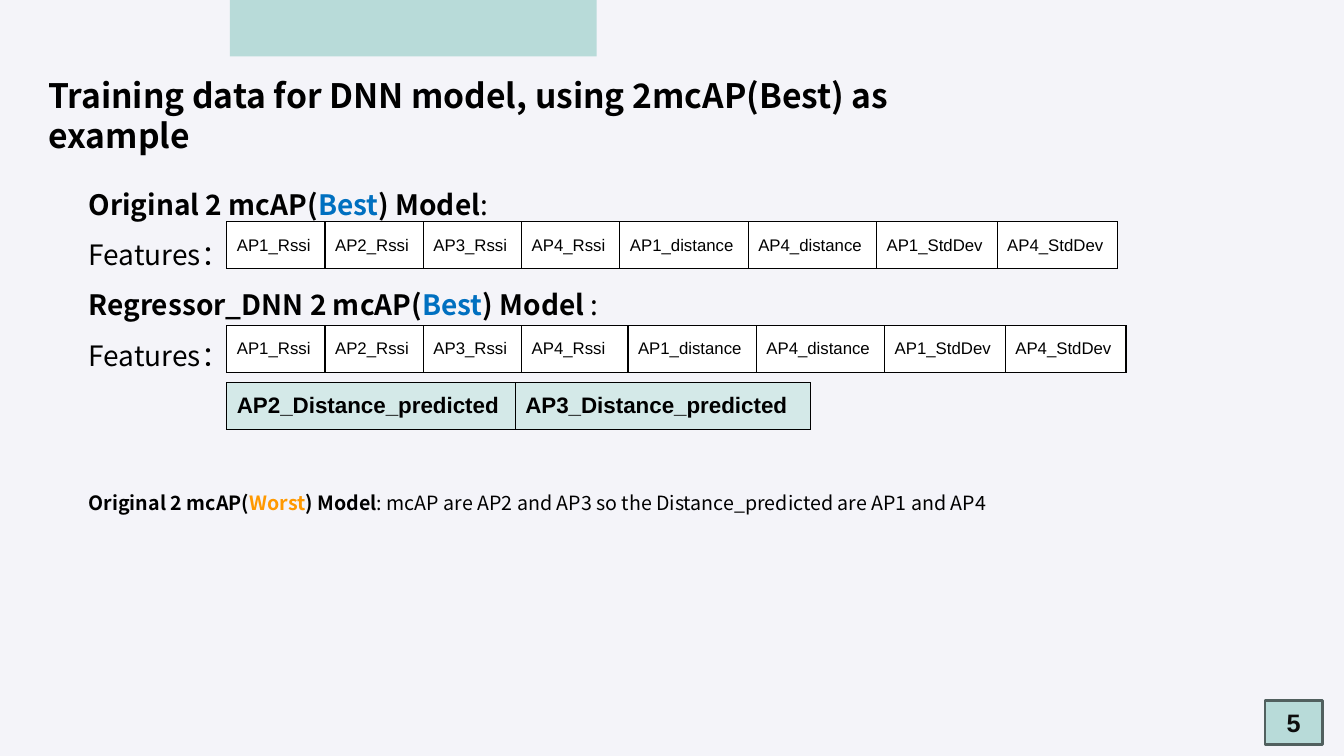
"""Build the slide on training data for the DNN model."""
from lxml.etree import SubElement
from pptx import Presentation
from pptx.dml.color import RGBColor
from pptx.enum.shapes import MSO_SHAPE as Shape
from pptx.enum.text import MSO_ANCHOR as Anchor, MSO_AUTO_SIZE as AutoSize, PP_ALIGN as Align
from pptx.oxml.ns import qn
from pptx.util import Pt

BACKGROUND = RGBColor(0xF4, 0xF4, 0xF9)
TEAL = RGBColor(0xB8, 0xDB, 0xD9)
PALE_TEAL = RGBColor(0xD4, 0xE9, 0xE8)
SLATE = RGBColor(0x51, 0x60, 0x5F)
DARK = RGBColor(0x0D, 0x0D, 0x0D)
BLACK = RGBColor(0x00, 0x00, 0x00)
WHITE = RGBColor(0xFF, 0xFF, 0xFF)
BLUE = RGBColor(0x00, 0x70, 0xC0)
ORANGE = RGBColor(0xFF, 0x99, 0x00)
TEXT_FONT = "Noto Sans CJK SC"
LABEL_FONT = "Arial"


def add_run(paragraph, text, size, font_name, color=BLACK, bold=False):
    run = paragraph.add_run()
    run.text = text
    run.font.size = Pt(size)
    run.font.name = font_name
    run.font.bold = bold
    run.font.color.rgb = color
    SubElement(run.font._element, qn("a:ea"), typeface=font_name)


def add_feature_table(slide, top, widths, labels, size, fill, bold):
    row_height = 33.4
    table = slide.shapes.add_table(
        1, len(labels), Pt(162), Pt(top), Pt(sum(widths)), Pt(row_height)).table
    table.first_row = False
    table.horz_banding = False
    table.rows[0].height = Pt(row_height)
    for column, cell, width, label in zip(table.columns, table.rows[0].cells, widths, labels):
        column.width = Pt(width)
        cell.vertical_anchor = Anchor.MIDDLE
        add_run(cell.text_frame.paragraphs[0], label, size, LABEL_FONT, bold=bold)
        properties = cell._tc.get_or_add_tcPr()
        for side in ("a:lnL", "a:lnR", "a:lnT", "a:lnB"):
            border = SubElement(properties, qn(side), w=str(Pt(1)))
            border_fill = SubElement(border, qn("a:solidFill"))
            SubElement(border_fill, qn("a:srgbClr"), val=str(BLACK))
        cell.fill.solid()
        cell.fill.fore_color.rgb = fill


presentation = Presentation()
presentation.slide_width = Pt(960)
presentation.slide_height = Pt(540)
slide = presentation.slides.add_slide(presentation.slide_layouts[6])
slide.background.fill.solid()
slide.background.fill.fore_color.rgb = BACKGROUND

top_band = slide.shapes.add_shape(Shape.RECTANGLE, Pt(164.2), Pt(-68.4), Pt(262), Pt(108.7))
page_number = slide.shapes.add_shape(Shape.RECTANGLE, Pt(903.6), Pt(500.4), Pt(41), Pt(31.7))
for shape in (top_band, page_number):
    shape.shadow.inherit = False
    shape.fill.solid()
    shape.fill.fore_color.rgb = TEAL
top_band.line.fill.background()
page_number.line.color.rgb = SLATE
page_number.line.width = Pt(2)
page_number.text_frame.vertical_anchor = Anchor.MIDDLE
number_paragraph = page_number.text_frame.paragraphs[0]
number_paragraph.alignment = Align.CENTER
add_run(number_paragraph, "5", 18, LABEL_FONT, DARK, True)

title_lines = [[("Training data for DNN model, using 2mcAP(Best) as example", BLACK, True)]]
features_line = [("Features：", BLACK, False)]
model_lines = [
    [("Original 2 mcAP(", BLACK, True), ("Best", BLUE, True),
     (") Model", BLACK, True), (":", BLACK, False)],
    features_line,
    [("Regressor_DNN 2 mcAP(", BLACK, True), ("Best", BLUE, True),
     (") Model ", BLACK, True), (":", BLACK, False)],
    features_line,
]
worst_lines = [
    [("Original 2 mcAP(", BLACK, True), ("Worst", ORANGE, True), (") Model", BLACK, True),
     (": mcAP are AP2 and AP3 so the Distance_predicted are AP1 and AP4", BLACK, False)],
]
text_boxes = [
    (27.4, 49.7, 717.8, 36, 24, 28.8, title_lines),
    (56.2, 118.1, 901.4, 148.3, 20, 36, model_lines),
    (56.2, 338.4, 675.4, 29.5, 14, 25.2, worst_lines),
]
for left, top, width, height, size, line_height, lines in text_boxes:
    frame = slide.shapes.add_textbox(Pt(left), Pt(top), Pt(width), Pt(height)).text_frame
    frame.word_wrap = True
    frame.auto_size = AutoSize.SHAPE_TO_FIT_TEXT
    for index, line in enumerate(lines):
        paragraph = frame.add_paragraph() if index else frame.paragraphs[0]
        paragraph.line_spacing = Pt(line_height)
        for text, color, bold in line:
            add_run(paragraph, text, size, TEXT_FONT, color, bold)

features = ["AP1_Rssi", "AP2_Rssi", "AP3_Rssi", "AP4_Rssi",
            "AP1_distance", "AP4_distance", "AP1_StdDev", "AP4_StdDev"]
predictions = ["AP2_Distance_predicted", "AP3_Distance_predicted"]
rssi_width = 70.2
late_widths = [91.7, 91.7, 86.2, 86.2]
feature_tables = [
    (158.4, [rssi_width] * 4 + late_widths, features, 12, WHITE, False),
    (232.6, [rssi_width] * 3 + [76] + late_widths, features, 12, WHITE, False),
    (273.4, [206, 211], predictions, 16, PALE_TEAL, True),
]
for feature_table in feature_tables:
    add_feature_table(slide, *feature_table)

presentation.save("out.pptx")
